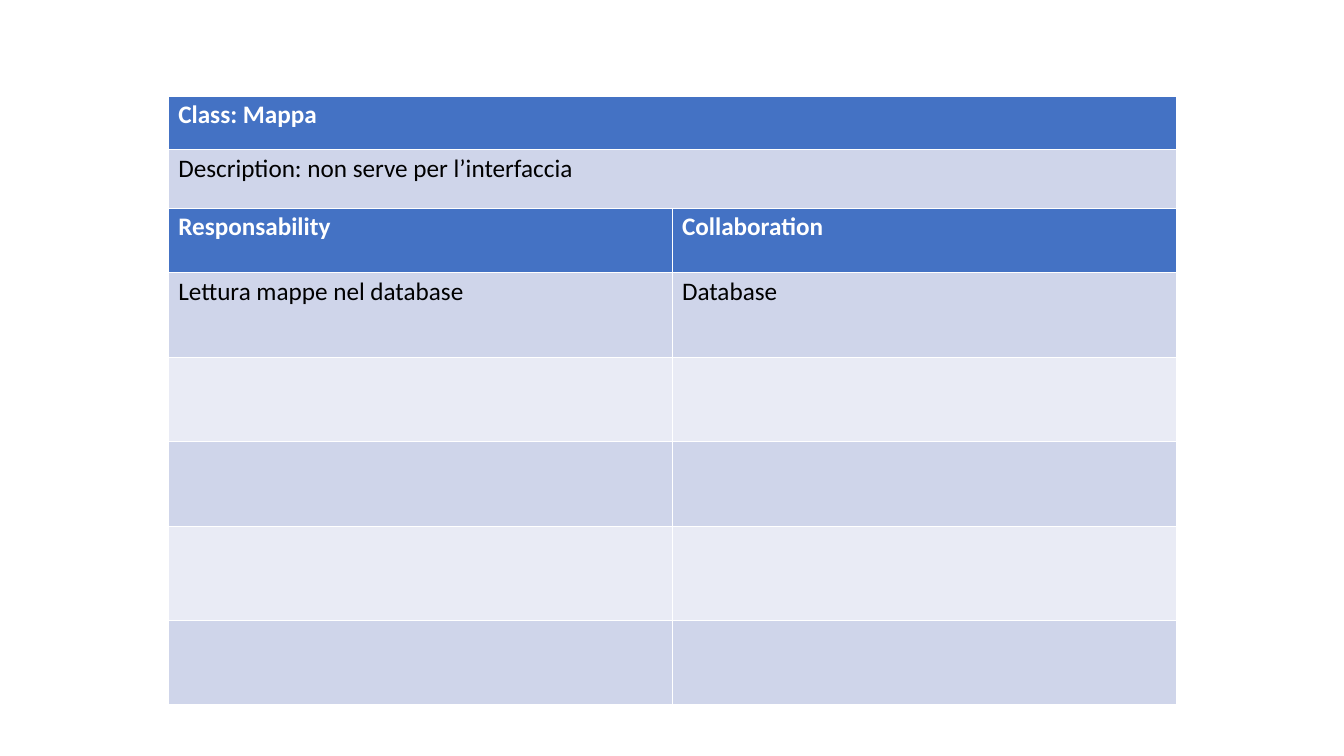
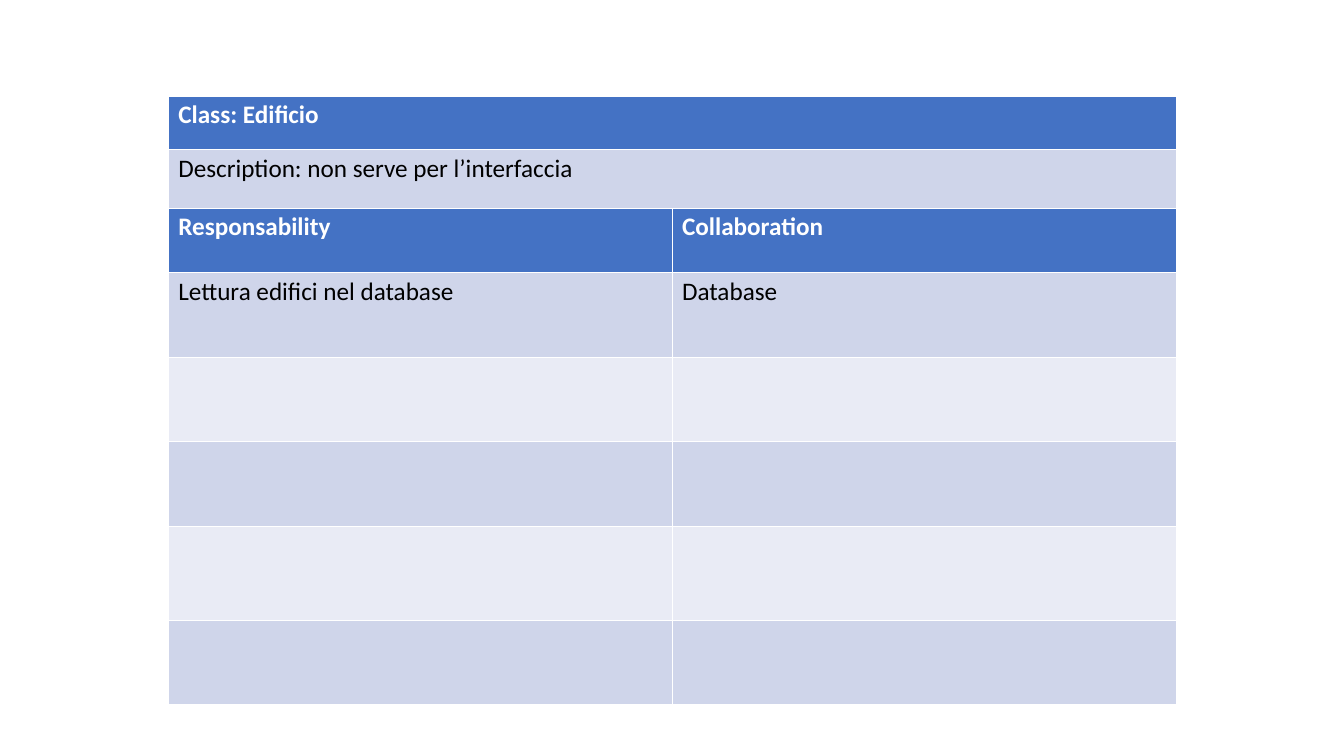
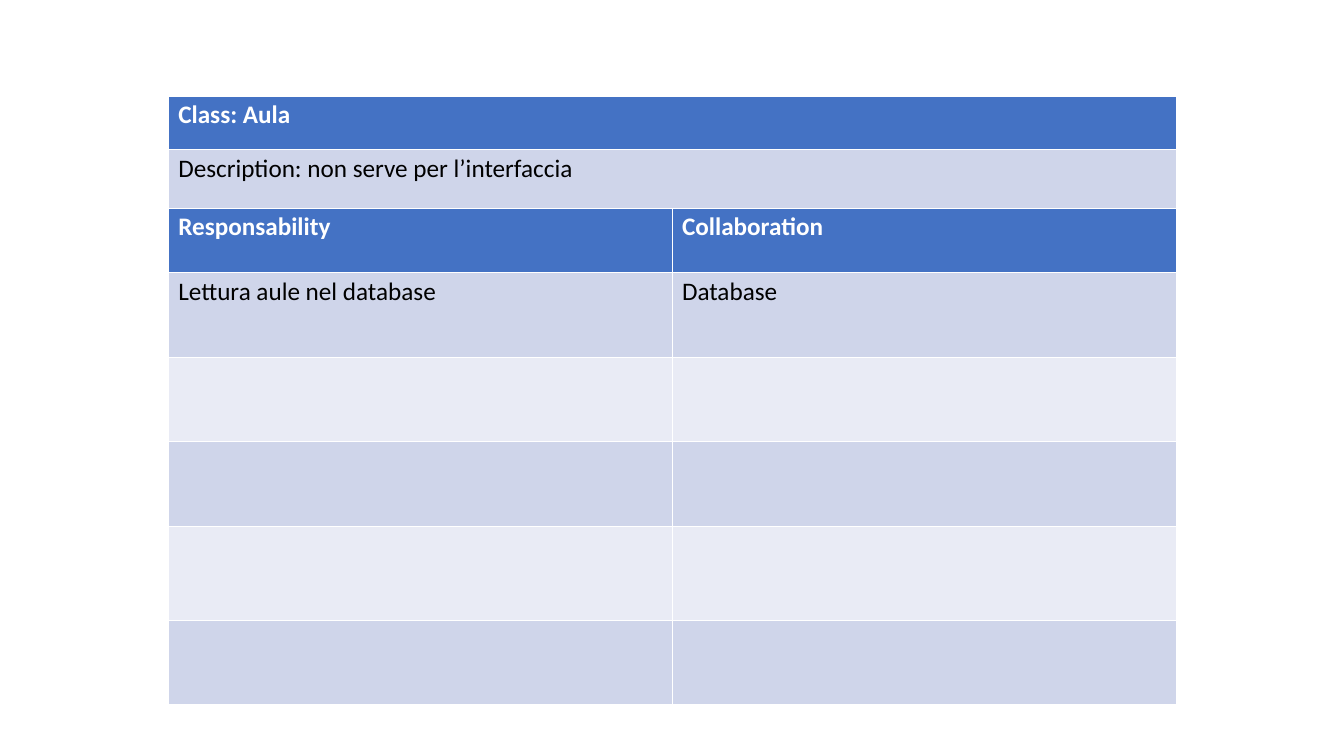
from lxml import etree
from pptx import Presentation
from pptx.dml.color import RGBColor
from pptx.oxml.ns import qn
from pptx.util import Inches, Pt

WHITE = RGBColor(0xFF, 0xFF, 0xFF)
BLACK = RGBColor(0x00, 0x00, 0x00)
HEADER_BLUE = RGBColor(0x44, 0x72, 0xC4)
BAND_DARK = RGBColor(0xCF, 0xD5, 0xEA)
BAND_LIGHT = RGBColor(0xE9, 0xEB, 0xF5)

BLANK_LAYOUT = 6
LEFT, TOP, WIDTH = 1.67, 0.95, 10
TITLE_ROWS = [0.53, 0.58]
DUTY_ROWS = [0.64, 0.84, 0.84, 0.84, 0.93, 0.84]
THIN, THICK = Pt(0.06), Pt(0.17)

CARDS = [
    ("Mappa", "Lettura mappe nel database"),
    ("Edificio", "Lettura edifici nel database"),
    ("Aula", "Lettura aule nel database"),
]


class CardDeck:
    text_format = {"name": "Calibri", "size": Pt(18)}
    line_spacing = 0.94

    def __init__(self):
        self.presentation = Presentation()
        self.presentation.slide_width = Inches(13.34)
        self.presentation.slide_height = Inches(7.5)
        self.slide = None

    def new_slide(self):
        layout = self.presentation.slide_layouts[BLANK_LAYOUT]
        self.slide = self.presentation.slides.add_slide(layout)

    def borders(self, cell, row):
        widths = {
            "a:lnL": THIN,
            "a:lnR": THIN,
            "a:lnT": THICK if row == 1 else THIN,
            "a:lnB": THICK if row == 0 else THIN,
        }
        properties = cell._tc.get_or_add_tcPr()
        for side, width in widths.items():
            line = etree.SubElement(properties, qn(side), w=str(int(width)))
            fill = etree.SubElement(line, qn("a:solidFill"))
            etree.SubElement(fill, qn("a:srgbClr"), val=str(WHITE))

    def cell_text(self, cell, text, is_header):
        paragraph = cell.text_frame.paragraphs[0]
        paragraph.line_spacing = self.line_spacing
        run = paragraph.add_run()
        run.text = text
        for attribute, value in {**self.text_format, "bold": is_header}.items():
            setattr(run.font, attribute, value)
        run.font.color.rgb = WHITE if is_header else BLACK

    def table(self, top, row_heights, column_count, lines):
        table = self.slide.shapes.add_table(
            len(row_heights), column_count, Inches(LEFT), Inches(top),
            Inches(WIDTH), Inches(sum(row_heights))).table
        table.horz_banding = False
        for row, height in enumerate(row_heights):
            table.rows[row].height = Inches(height)
            band = BAND_DARK if row % 2 else BAND_LIGHT
            for column in range(column_count):
                cell = table.cell(row, column)
                self.borders(cell, row)
                cell.fill.solid()
                cell.fill.fore_color.rgb = band if row else HEADER_BLUE
                if row < len(lines):
                    self.cell_text(cell, lines[row][column], row == 0)

    def class_card(self, class_name, responsibility):
        self.new_slide()
        self.table(TOP + sum(TITLE_ROWS), DUTY_ROWS, 2, [
            ("Responsability", "Collaboration"),
            (responsibility, "Database"),
        ])
        self.table(TOP, TITLE_ROWS, 1, [
            (f"Class: {class_name}",),
            ("Description: non serve per l’interfaccia",),
        ])


def main():
    deck = CardDeck()
    for class_name, responsibility in CARDS:
        deck.class_card(class_name, responsibility)
    deck.presentation.save("out.pptx")


if __name__ == "__main__":
    main()
